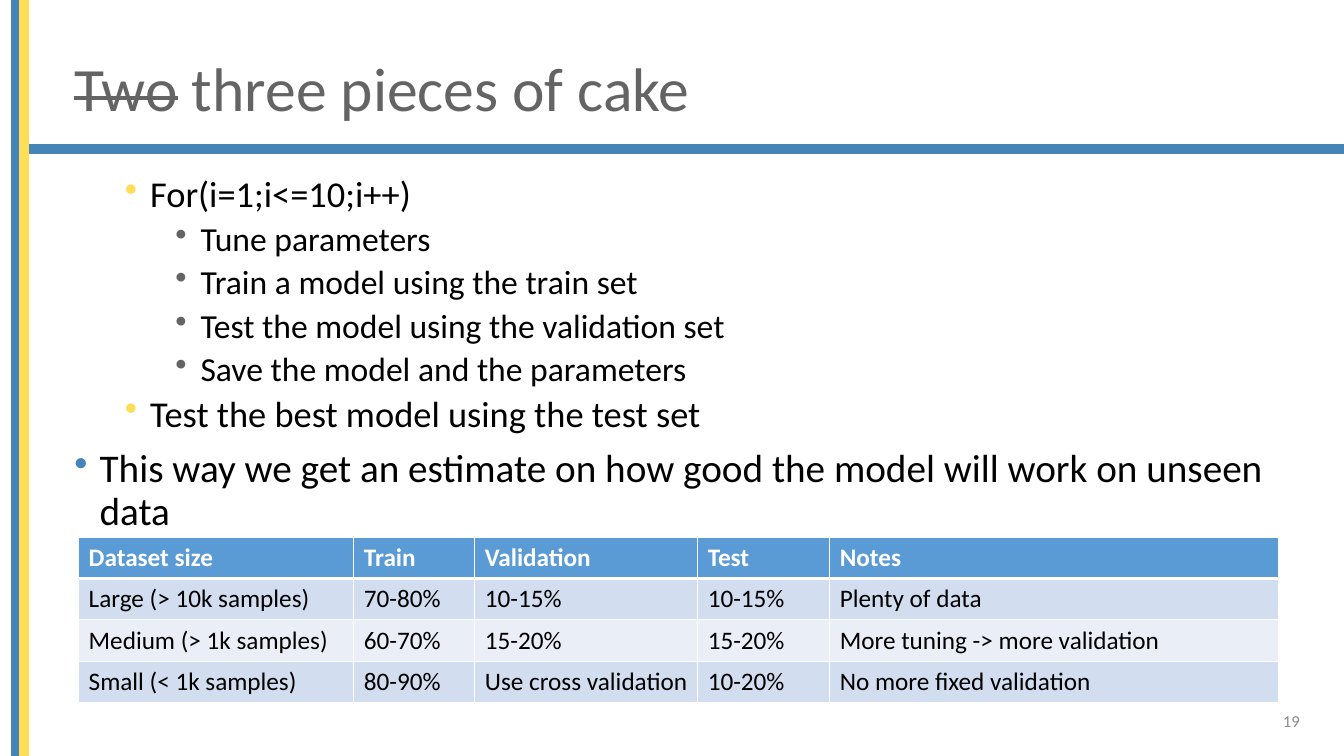
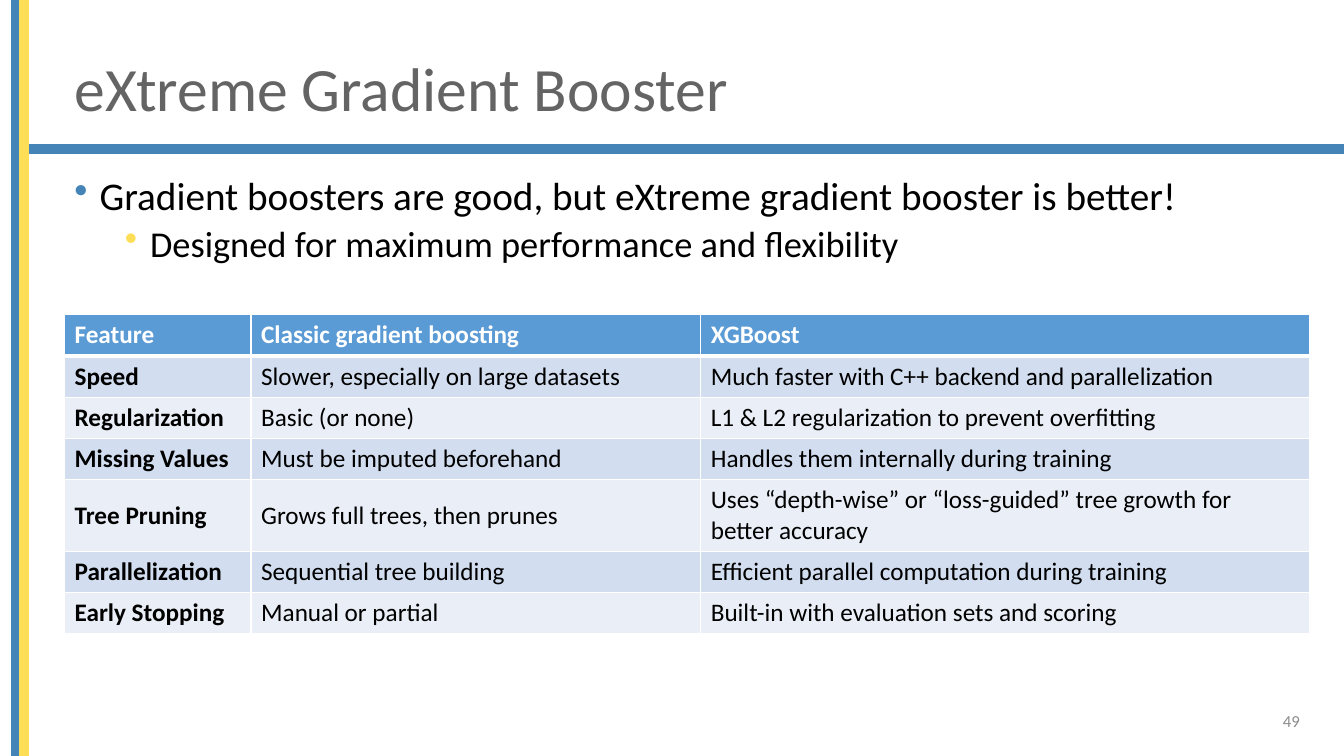
from dataclasses import dataclass

from pptx import Presentation
from pptx.dml.color import RGBColor
from pptx.enum.shapes import MSO_SHAPE
from pptx.enum.text import MSO_ANCHOR, PP_ALIGN
from pptx.oxml.ns import qn
from pptx.util import Pt
from lxml import etree

RECTANGLE = MSO_SHAPE.RECTANGLE
TOP, MIDDLE = MSO_ANCHOR.TOP, MSO_ANCHOR.MIDDLE
LEFT, RIGHT = PP_ALIGN.LEFT, PP_ALIGN.RIGHT
BLANK_LAYOUT = 6
EMU_PER_PX = 9144  # 100 px to the inch
WIDTH, HEIGHT = 1333, 750


@dataclass(frozen=True)
class Theme:
    font: str = "Calibri"
    blue: str = "4584B6"
    yellow: str = "FFDE57"
    gray: str = "646464"
    number: str = "8C8C8C"
    text: str = "000000"
    white: str = "FFFFFF"
    header: str = "5B9BD5"
    row_bands: tuple = ("D2DEEF", "EAEFF7")
    title_size: int = 44
    table_size: int = 18
    number_size: int = 12
    line_spacing: float = 0.9
    thin_border: int = 1
    header_border: int = 3


THEME = Theme()

# Content
SLIDES = [
    {
        "title": [("Two", True), (" three pieces of cake", False)],
        "body": [
            (1, "For(i=1;i<=10;i++)"),
            (2, "Tune parameters"),
            (2, "Train a model using the train set"),
            (2, "Test the model using the validation set"),
            (2, "Save the model and the parameters"),
            (1, "Test the best model using the test set"),
            (0, "This way we get an estimate on how good the model will work on unseen data"),
        ],
        "number": "19",
        "table": {
            "left": 78, "top": 533, "bold_first_column": False,
            "columns": [273, 120, 221, 131, 445],
            "row_heights": [41] * 4,
            "rows": [
                ("Dataset size", "Train", "Validation", "Test", "Notes"),
                ("Large (> 10k samples)", "70-80%", "10-15%", "10-15%", "Plenty of data"),
                ("Medium (> 1k samples)", "60-70%", "15-20%", "15-20%",
                 "More tuning -> more validation"),
                ("Small (< 1k samples)", "80-90%", "Use cross validation", "10-20%",
                 "No more fixed validation"),
            ],
        },
    },
    {
        "title": [("eXtreme Gradient Booster", False)],
        "body": [
            (0, "Gradient boosters are good, but eXtreme gradient booster is better!"),
            (1, "Designed for maximum performance and flexibility"),
        ],
        "number": "49",
        "table": {
            "left": 64, "top": 312, "bold_first_column": True,
            "columns": [185, 446, 604],
            "row_heights": [41] * 4 + [71] + [41] * 2,
            "rows": [
                ("Feature", "Classic gradient boosting", "XGBoost"),
                ("Speed", "Slower, especially on large datasets",
                 "Much faster with C++ backend and parallelization"),
                ("Regularization", "Basic (or none)",
                 "L1 & L2 regularization to prevent overfitting"),
                ("Missing Values", "Must be imputed beforehand",
                 "Handles them internally during training"),
                ("Tree Pruning", "Grows full trees, then prunes",
                 "Uses “depth-wise” or “loss-guided” tree growth for better accuracy"),
                ("Parallelization", "Sequential tree building",
                 "Efficient parallel computation during training"),
                ("Early Stopping", "Manual or partial",
                 "Built-in with evaluation sets and scoring"),
            ],
        },
    },
]

# Shared layout: left, top, width, height
BANDS = [
    ((19, 144, WIDTH - 19, 8), THEME.blue),
    ((12, 0, 8, HEIGHT), THEME.blue),
    ((20, 0, 8, HEIGHT), THEME.yellow),
]
TITLE_BOX = (64, 40, 1178, 101)
BODY_BOX = (64, 170, 1235, 506)
NUMBER_BOX = (999, 695, 300, 40)

# One entry per level: text size, space before, bullet colour
LEVELS = [(28, 10, THEME.blue), (26, 5, THEME.yellow), (24, 5, THEME.gray)]
BULLET_INDENT, LEVEL_STEP = 25, 50


def px(length):
    return length * EMU_PER_PX


def scaled(box):
    return [px(length) for length in box]


def rgb(color):
    return RGBColor.from_string(color)


def add_run(paragraph, text, size, color, bold=False):
    run = paragraph.add_run()
    run.text = text
    run.font.name = THEME.font
    run.font.size = Pt(size)
    run.font.bold = bold
    run.font.color.rgb = rgb(color)
    return run


def add_text_frame(slide, box, anchor):
    frame = slide.shapes.add_textbox(*scaled(box)).text_frame
    frame.word_wrap = True
    frame.vertical_anchor = anchor
    return frame


def add_solid_fill(parent, color):
    fill = etree.SubElement(parent, qn("a:solidFill"))
    etree.SubElement(fill, qn("a:srgbClr"), val=color)


def add_bands(slide):
    for box, color in BANDS:
        shape = slide.shapes.add_shape(RECTANGLE, *scaled(box))
        shape.shadow.inherit = False
        shape.fill.solid()
        shape.fill.fore_color.rgb = rgb(color)
        shape.line.color.rgb = rgb(color)
        shape.line.width = Pt(1)


def add_title(slide, parts):
    paragraph = add_text_frame(slide, TITLE_BOX, MIDDLE).paragraphs[0]
    paragraph.alignment = LEFT
    paragraph.line_spacing = THEME.line_spacing
    for text, struck in parts:
        run = add_run(paragraph, text, THEME.title_size, THEME.gray)
        if struck:
            run.font._element.set("strike", "sngStrike")


def add_bullet(paragraph, level, color):
    properties = paragraph._p.get_or_add_pPr()
    properties.set("marL", str(px(BULLET_INDENT + level * LEVEL_STEP)))
    properties.set("indent", str(px(-BULLET_INDENT)))
    bullet_color = etree.SubElement(properties, qn("a:buClr"))
    etree.SubElement(bullet_color, qn("a:srgbClr"), val=color)
    etree.SubElement(properties, qn("a:buChar"), char="•")


def add_body(slide, items):
    frame = add_text_frame(slide, BODY_BOX, TOP)
    for index, (level, text) in enumerate(items):
        size, space_before, bullet_color = LEVELS[level]
        paragraph = frame.add_paragraph() if index else frame.paragraphs[0]
        add_bullet(paragraph, level, bullet_color)
        paragraph.level = level
        paragraph.alignment = LEFT
        paragraph.line_spacing = THEME.line_spacing
        if index:
            paragraph.space_before = Pt(space_before)
        add_run(paragraph, text, size, THEME.text)


def add_number(slide, number):
    paragraph = add_text_frame(slide, NUMBER_BOX, MIDDLE).paragraphs[0]
    paragraph.alignment = RIGHT
    add_run(paragraph, number, THEME.number_size, THEME.number)


def style_cell(cell, row):
    # The edge between the header and the first row is thicker
    widths = {"a:lnL": THEME.thin_border, "a:lnR": THEME.thin_border,
              "a:lnT": THEME.header_border if row == 1 else THEME.thin_border,
              "a:lnB": THEME.header_border if row == 0 else THEME.thin_border}
    properties = cell._tc.get_or_add_tcPr()
    for tag, width in widths.items():
        border = etree.SubElement(properties, qn(tag), w=str(Pt(width)))
        add_solid_fill(border, THEME.white)
    cell.fill.solid()
    color = THEME.row_bands[(row - 1) % 2] if row else THEME.header
    cell.fill.fore_color.rgb = rgb(color)
    cell.vertical_anchor = MIDDLE


def add_data_table(slide, data):
    rows, columns, heights = data["rows"], data["columns"], data["row_heights"]
    box = (data["left"], data["top"], sum(columns), sum(heights))
    table = slide.shapes.add_table(len(rows), len(columns), *scaled(box)).table
    for column, width in zip(table.columns, columns):
        column.width = px(width)
    for table_row, height in zip(table.rows, heights):
        table_row.height = px(height)
    for row, values in enumerate(rows):
        for column, text in enumerate(values):
            cell = table.cell(row, column)
            style_cell(cell, row)
            bold = row == 0 or (column == 0 and data["bold_first_column"])
            color = THEME.text if row else THEME.white
            add_run(cell.text_frame.paragraphs[0], text, THEME.table_size, color, bold)


def main():
    presentation = Presentation()
    presentation.slide_width = px(WIDTH)
    presentation.slide_height = px(HEIGHT)
    for content in SLIDES:
        slide = presentation.slides.add_slide(presentation.slide_layouts[BLANK_LAYOUT])
        add_bands(slide)
        add_title(slide, content["title"])
        add_body(slide, content["body"])
        add_number(slide, content["number"])
        add_data_table(slide, content["table"])
    presentation.save("out.pptx")


if __name__ == "__main__":
    main()
